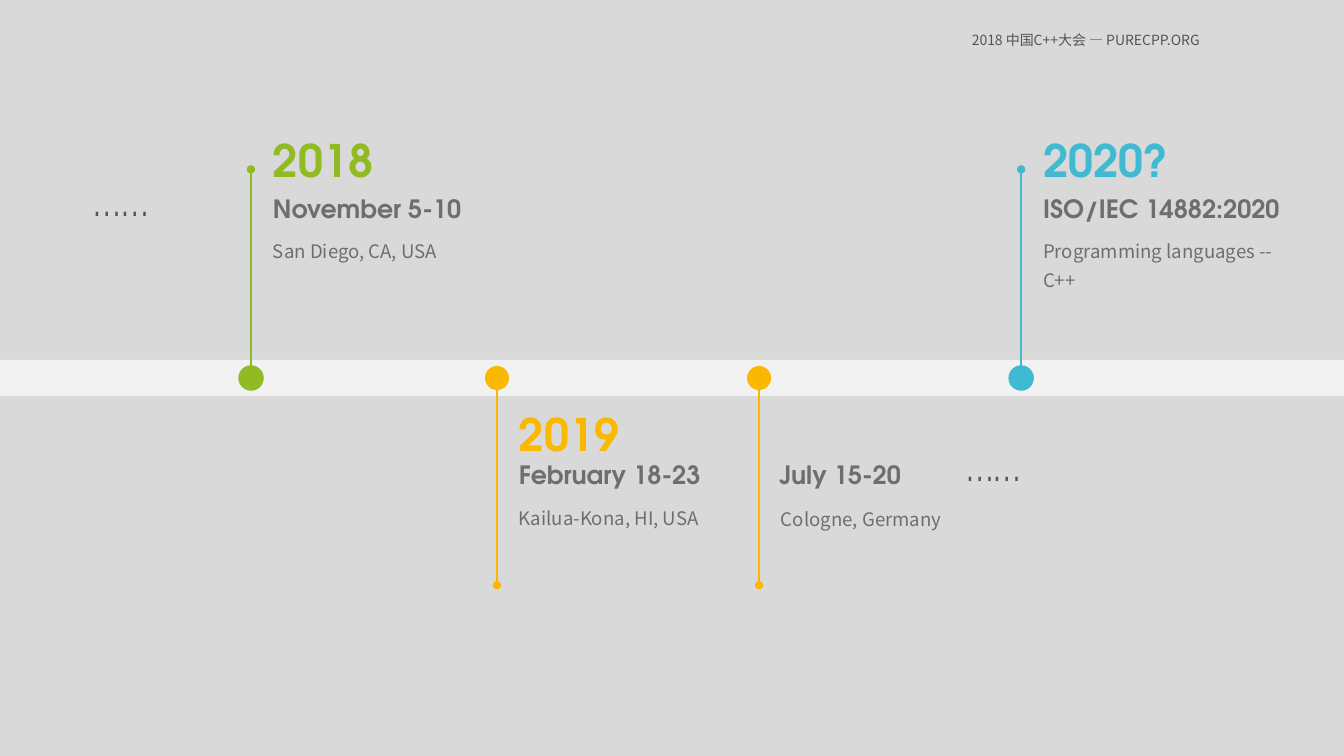
"""Build the timeline slide of C++ committee meetings from 2018 to 2020."""
from lxml import etree
from pptx import Presentation, util as u
from pptx.dml.color import RGBColor
from pptx.enum import shapes, text
from pptx.oxml.ns import qn

SANS, ROUND = "Noto Sans CJK SC", "TeX Gyre Adventor"
GREEN, YELLOW, BLUE = "90BB23", "FAB900", "40BAD2"
GREY, DARK = "6E6E6E", "545454"

YEAR = {"name": ROUND, "size": u.Pt(32), "bold": True}
DATE = {"name": ROUND, "size": u.Pt(18), "bold": True}
PLACE = {"name": SANS, "size": u.Pt(13.3)}
DOTS = {"name": ROUND, "size": u.Pt(24)}
HEADER = {"name": SANS, "size": u.Pt(10)}

EVENTS = [
    {"x": 179.3, "up": True, "color": GREEN, "year": "2018",
     "date": "November 5-10", "date_width": 151, "place": "San Diego, CA, USA"},
    {"x": 355, "up": False, "color": YELLOW, "year": "2019",
     "date": "February 18-23", "date_width": 145.5, "place": "Kailua-Kona, HI, USA"},
    {"x": 542.2, "up": False, "color": YELLOW, "year": "", "date_shift": -1.4,
     "date": "July 15-20", "date_width": 103, "place": "Cologne, Germany", "place_shift": 0.8},
    {"x": 729.4, "up": True, "color": BLUE, "year": "2020?",
     "date": "ISO/IEC 14882:2020", "date_width": 183.6, "place": "Programming languages -- C++"},
]
ELLIPSES = [(59.8, 130.3), (683.3, 319.7)]
TOPS = {True: (91.4, 134.6, 163.4), False: (287.3, 324.7, 353.5)}
AXIS_Y, AXIS_HEIGHT, DOT, TEXT_GAP = 270, 26, 17.2, 8.6
TIP_Y = {True: 121, False: 418}


def rgb(value):
    return RGBColor.from_string(value)


def add_solid(page, kind, left, top, width, height, color, outlined=False):
    shape = page.shapes.add_shape(kind, *map(u.Pt, (left, top, width, height)))
    shape.shadow.inherit = False
    shape.fill.solid()
    shape.fill.fore_color.rgb = rgb(color)
    if outlined:
        shape.line.color.rgb = rgb(color)
        shape.line.width = u.Pt(1)
    else:
        shape.line.fill.background()


def add_stem(page, x, start, end, color):
    stem = page.shapes.add_connector(
        shapes.MSO_CONNECTOR.STRAIGHT, *map(u.Pt, (x, start, x, end)))
    stem.line.color.rgb = rgb(color)
    stem.line.width = u.Pt(1.5)
    etree.SubElement(stem.line._get_or_add_ln(), qn("a:tailEnd"), type="oval")
    etree.SubElement(stem._element.spPr, qn("a:effectLst"))


def add_text(page, words, left, top, width, height, style, color, wrap=False,
             grow=True, **paragraph_format):
    box = page.shapes.add_textbox(*map(u.Pt, (left, top, width, height)))
    frame = box.text_frame
    frame.word_wrap = wrap
    if grow:
        frame.auto_size = text.MSO_AUTO_SIZE.SHAPE_TO_FIT_TEXT
    else:
        frame.vertical_anchor = text.MSO_ANCHOR.MIDDLE
    para = frame.paragraphs[0]
    for name, value in paragraph_format.items():
        setattr(para, name, value)
    span = para.add_run()
    span.text = words
    for name, value in style.items():
        setattr(span.font, name, value)
    span.font.color.rgb = rgb(color)
    etree.SubElement(span.font._element, qn("a:ea"), typeface=style["name"])


def add_event(page, event):
    x, up, color = event["x"], event["up"], event["color"]
    left = x + TEXT_GAP
    year_top, date_top, place_top = TOPS[up]
    add_solid(page, shapes.MSO_SHAPE.OVAL, x - DOT / 2, AXIS_Y - DOT / 2,
              DOT, DOT, color, outlined=up)
    edge = AXIS_Y + (-DOT if up else DOT) / 2
    add_stem(page, x, edge, TIP_Y[up], color)
    if event["year"]:
        year_width = 86.4 if len(event["year"]) == 4 else 105
        add_text(page, event["year"], left, year_top, year_width, 46, YEAR, color)
    add_text(page, event["date"], left + event.get("date_shift", 0), date_top,
             event["date_width"], 29, DATE, GREY)
    place_height = 47.5 if len(event["place"]) > 24 else 26
    add_text(page, event["place"], left, place_top + event.get("place_shift", 0),
             189.4, place_height, PLACE, GREY, wrap=True, line_spacing=1.3)


def main():
    deck = Presentation()
    deck.slide_width, deck.slide_height = u.Pt(960), u.Pt(540)
    page = deck.slides.add_slide(deck.slide_layouts[6])
    page.background.fill.solid()
    page.background.fill.fore_color.rgb = rgb("D9D9D9")
    add_solid(page, shapes.MSO_SHAPE.RECTANGLE, 0, AXIS_Y - AXIS_HEIGHT / 2,
              960, AXIS_HEIGHT, "F2F2F2")
    for event in EVENTS:
        add_event(page, event)
    for left, top in ELLIPSES:
        add_text(page, "……", left, top, 63.4, 33, DOTS, DARK, line_spacing=0.9)
    add_text(page, "2018 中国C++大会 — PURECPP.ORG", 341.3, 21.6, 522.7, 14.4,
             HEADER, DARK, wrap=True, grow=False, alignment=text.PP_ALIGN.RIGHT)
    deck.save("out.pptx")


if __name__ == "__main__":
    main()
